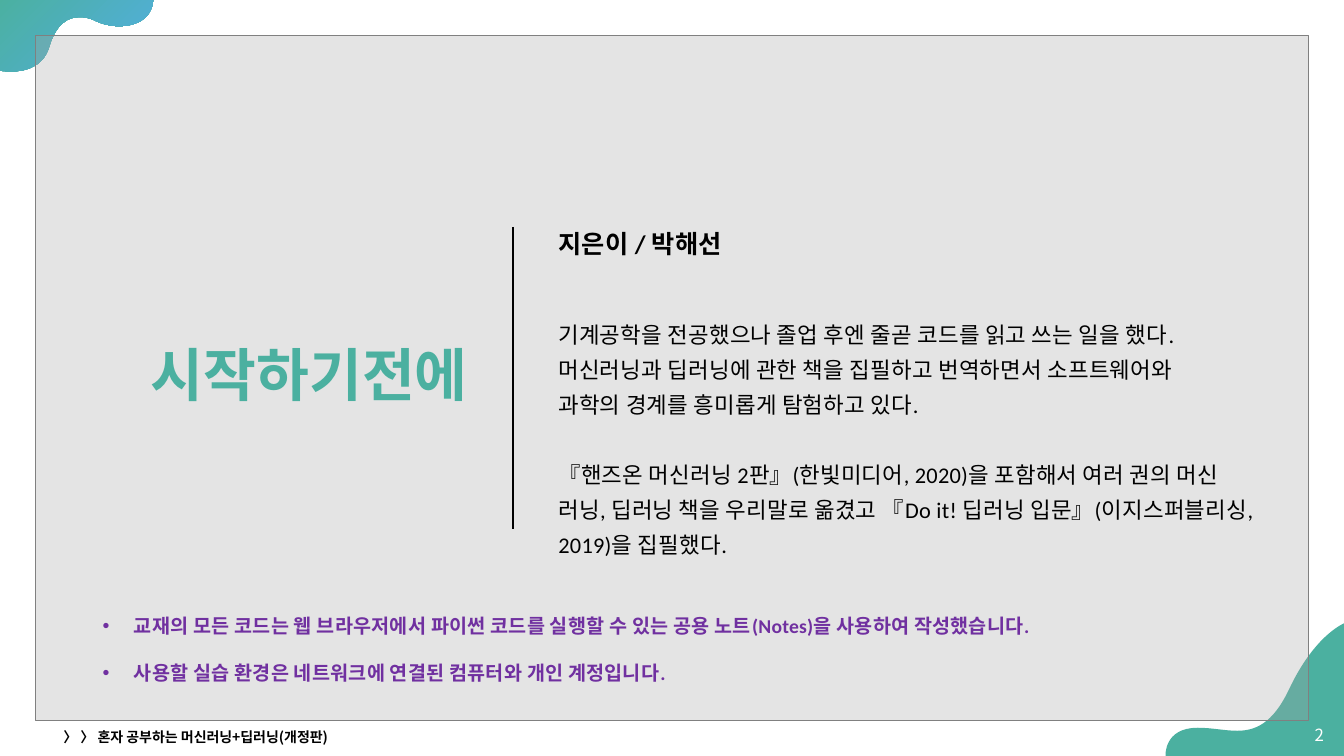
from pptx import Presentation
from pptx.dml.color import RGBColor as Rgb
from pptx.enum.shapes import MSO_CONNECTOR as Conn, MSO_SHAPE as Kind
from pptx.enum.text import MSO_ANCHOR as Anchor, PP_ALIGN as Align
from pptx.util import Inches as In, Pt
from pptx.oxml.ns import qn
from lxml.etree import SubElement as Sub

WIDE, HIGH = 13.33, 7.5
EDGE = 0.35
UNIT = 100
NOTO, CAL = "Noto Sans CJK KR", "Calibri"
HUES = {"teal": "4BB0A0", "blue": "52AEE1", "panel": "A6A6A6", "rim": "808080",
        "black": "000000", "white": "FFFFFF", "plum": "7030A0"}

TITLE = "시작하기전에"
FOOT = "〉 〉 혼자 공부하는 머신러닝+딥러닝(개정판)"
BIO = [
    ("지은이 / 박해선", 18, True, 1, 0),
    ("기계공학을 전공했으나 졸업 후엔 줄곧 코드를 읽고 쓰는 일을 했다.", 16, False, 1.3, 39),
    ("머신러닝과 딥러닝에 관한 책을 집필하고 번역하면서 소프트웨어와", 16, False, 1.3, 0),
    ("과학의 경계를 흥미롭게 탐험하고 있다.", 16, False, 1.3, 0),
    ("『핸즈온 머신러닝 2판』(한빛미디어, 2020)을 포함해서 여러 권의 머신", 16, False, 1.3, 25),
    ("러닝, 딥러닝 책을 우리말로 옮겼고 『Do it! 딥러닝 입문』"
     "(이지스퍼블리싱, 2019)을 집필했다.", 16, False, 1.3, 0),
]
NOTES = [
    "교재의 모든 코드는 웹 브라우저에서 파이썬 코드를 실행할 수 있는 "
    "공용 노트(Notes)을 사용하여 작성했습니다.",
    "사용할 실습 환경은 네트워크에 연결된 컴퓨터와 개인 계정입니다.",
]
TOP = [(1.52, -0.02), (-0.01, -0.02), (-0.01, 0.7),
       (-0.01, 0.7, 0.04, 0.71, 0.11, 0.71), (0.24, 0.71, 0.43, 0.67, 0.49, 0.46),
       (0.56, 0.23, 0.68, 0.17, 0.79, 0.17), (0.84, 0.17, 0.89, 0.18, 0.93, 0.2),
       (1.01, 0.24, 1.1, 0.26, 1.18, 0.26), (1.37, 0.26, 1.52, 0.17, 1.52, -0.02)]
LOW = [(13.34, 6.18), (13.34, 6.18, 13.04, 6.29, 12.78, 6.85),
       (12.62, 7.18, 12.45, 7.25, 12.27, 7.25), (12.15, 7.25, 12.02, 7.22, 11.88, 7.22),
       (11.54, 7.22, 11.56, 7.5, 11.56, 7.5), (13.34, 7.5)]

deck = Presentation()
deck.slide_width, deck.slide_height = In(WIDE), In(HIGH)
slide = deck.slides.add_slide(deck.slide_layouts[6])
shapes = slide.shapes


def hue(name):
    return Rgb.from_string(HUES[name])


def blob(steps):
    grid = [[round(v * UNIT) for v in step] for step in steps]
    ends = [step[-2:] for step in grid]
    left, top = (min(end[k] for end in ends) for k in (0, 1))
    pen = shapes.build_freeform(*ends[0], scale=In(1) / UNIT)
    pen.add_line_segments(ends[1:], close=True)
    form = pen.convert_to_shape()
    form.shadow.inherit = False
    form.line.fill.background()
    lines = list(form._element.iter(qn("a:lnTo")))
    for line, step in zip(lines, grid[1:]):
        if len(step) == 6:
            line.tag = qn("a:cubicBezTo")
            line.remove(line[0])
            for x, y in zip(step[::2], step[1::2]):
                Sub(line, qn("a:pt"), x=str(x - left), y=str(y - top))
    return form


def write(box, rows, anchor=Anchor.MIDDLE, align=Align.LEFT, bullet=False, track=0):
    frame = shapes.add_textbox(*map(In, box)).text_frame
    frame.word_wrap = True
    frame.vertical_anchor = anchor
    for i, (text, size, bold, lead, gap, face, tint) in enumerate(rows):
        para = frame.paragraphs[0] if i == 0 else frame.add_paragraph()
        para.text = text
        para.alignment = align
        para.line_spacing = lead
        para.space_before = Pt(gap)
        props = para._p.get_or_add_pPr()
        if bullet:
            props.set("marL", str(In(0.31)))
            props.set("indent", str(-In(0.31)))
            Sub(Sub(props, qn("a:buClr")), qn("a:srgbClr"), val=HUES[tint])
            Sub(props, qn("a:buFont"), typeface="Arial")
            Sub(props, qn("a:buChar"), char="•")
        font = para.font
        font.size, font.bold, font.name = Pt(size), bold, face
        font.color.rgb = hue(tint)
        if track:
            props.find(qn("a:defRPr")).set("spc", str(track))


crest = blob(TOP)
crest.fill.gradient()
crest.fill.gradient_angle = 315
for stop, name, spot in zip(crest.fill.gradient_stops, ("teal", "blue"), (0, 1)):
    stop.color.rgb = hue(name)
    stop.position = spot

wave = blob(LOW)
wave.fill.solid()
wave.fill.fore_color.rgb = hue("teal")

panel = shapes.add_shape(Kind.RECTANGLE, In(EDGE), In(EDGE),
                         In(WIDE - 2 * EDGE), In(HIGH - 2 * EDGE))
panel.shadow.inherit = False
panel.fill.solid()
panel.fill.fore_color.rgb = hue("panel")
tone = panel._element.spPr.find(qn("a:solidFill"))[0]
Sub(tone, qn("a:alpha"), val="30000")
panel.line.color.rgb = hue("rim")
panel.line.width = Pt(1)

write((0.92, 1.05, 3.82, 5.39), [(TITLE, 41, True, 0.9, 0, NOTO, "teal")],
      align=Align.RIGHT)
write((12.79, 7.09, 0.44, 0.4), [("2", 12, False, 1, 0, NOTO, "white")],
      align=Align.RIGHT)
write((0.53, 7.19, 4.5, 0.24), [(FOOT, 10, True, 1, 0, NOTO, "black")])
write((5.44, 1.36, 7.18, 5.08), [row + (CAL, "black") for row in BIO], track=20)
write((0.92, 5.81, 10.12, 0.98),
      [(note, 14, True, 2, 0, CAL, "plum") for note in NOTES],
      anchor=Anchor.TOP, bullet=True, track=13)

rule = shapes.add_connector(Conn.STRAIGHT, In(5.09), In(2.25), In(5.09), In(5.25))
rule.line.color.rgb = hue("black")
rule.line.width = Pt(1.5)
Sub(rule._element.spPr, qn("a:effectLst"))

deck.save("out.pptx")
